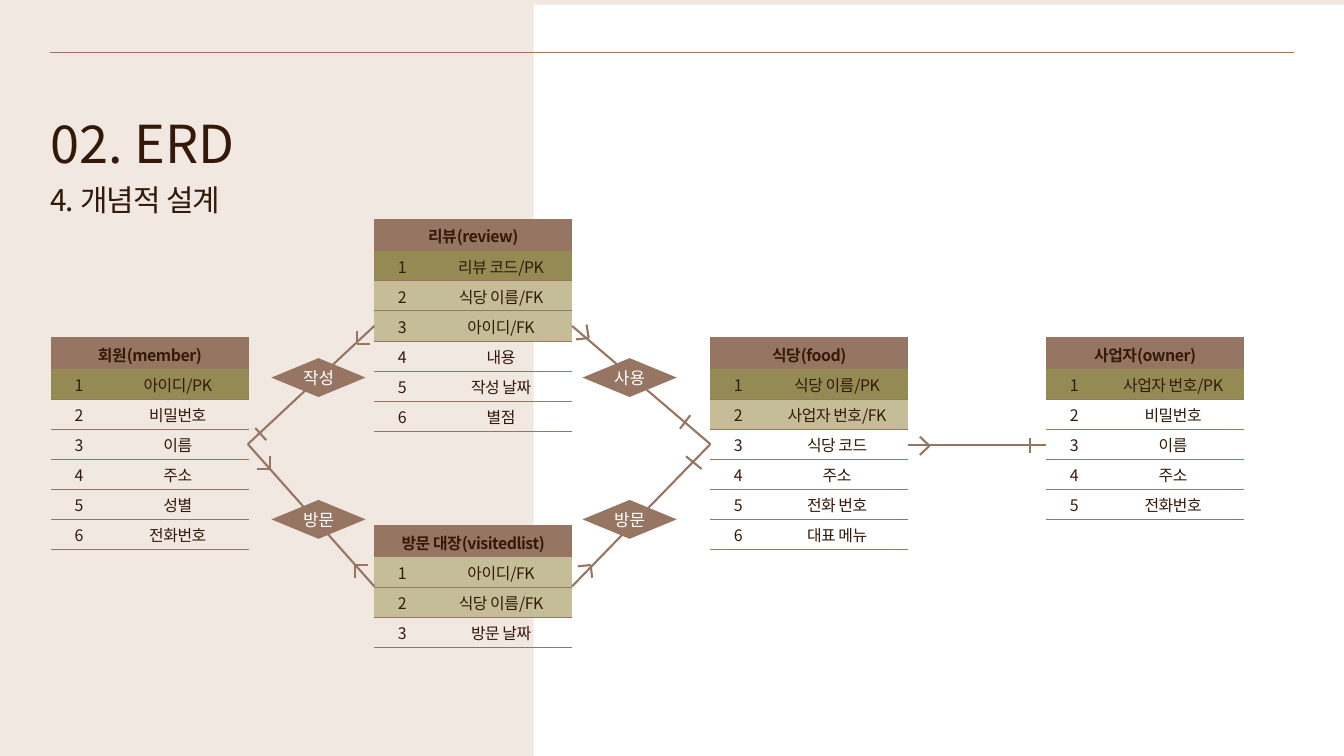
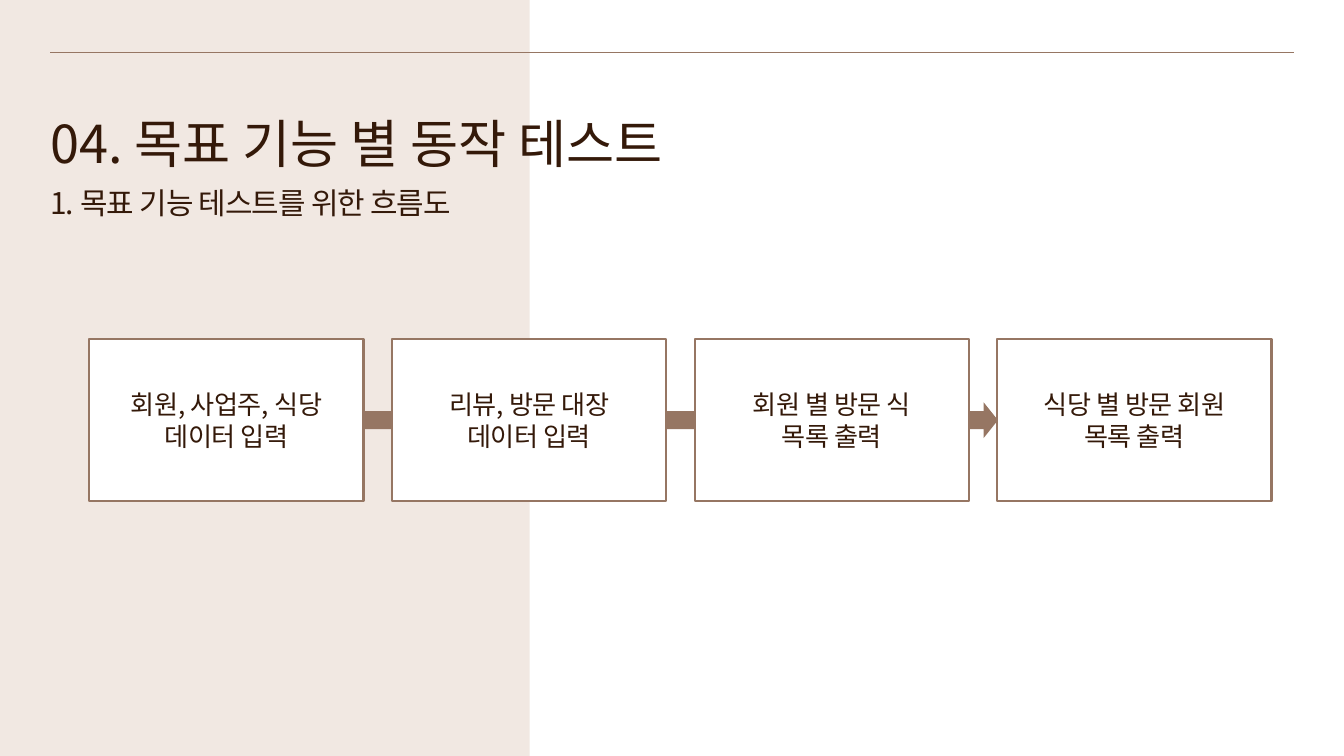
from itertools import pairwise

from lxml import etree
from pptx import Presentation
from pptx.dml.color import RGBColor
from pptx.enum import shapes, text
from pptx.oxml.ns import qn
from pptx.util import Cm, Pt

COLORS = {"beige": "F1E8E2", "white": "FFFFFF", "brown": "967663",
          "ink": "341909", "pk": "948A54", "fk": "C4BD97"}
WIDTH, HEIGHT = 50.8, 28.58
KR, SC = "Noto Sans CJK KR", "Noto Sans CJK SC"
COLUMNS, ROW = (2.11, 5.36), 1.14

ENTITIES = [
    (1.93, 12.8, "회원(member)",
     ["아이디/PK", "비밀번호", "이름", "주소", "성별", "전화번호"]),
    (39.55, 12.8, "사업자(owner)",
     ["사업자 번호/PK", "비밀번호", "이름", "주소", "전화번호"]),
    (26.85, 12.8, "식당(food)",
     ["식당 이름/PK", "사업자 번호/FK", "식당 코드", "주소", "전화 번호", "대표 메뉴"]),
    (14.15, 8.33, "리뷰(review)",
     ["리뷰 코드/PK", "식당 이름/FK", "아이디/FK", "내용", "작성 날짜", "별점"]),
    (14.15, 19.91, "방문 대장(visitedlist)",
     ["아이디/FK", "식당 이름/FK", "방문 날짜"]),
]
LINKS = [
    [(14.15, 12.32), (9.37, 16.79), (14.15, 22.17)],
    [(21.62, 12.32), (26.85, 16.79), (21.62, 22.17)],
    [(34.32, 16.81), (39.55, 16.81)],
]
ONE_MARKS = [
    [(9.65, 16.18), (10.06, 16.64)],
    [(26.09, 15.7), (25.7, 16.21)],
    [(26.52, 17.73), (25.93, 17.25)],
    [(38.94, 17.12), (38.94, 16.54)],
]
MANY_MARKS = [
    [(13.41, 21.84), (13.41, 21.36), (13.92, 21.36)],
    [(10.21, 17.25), (10.21, 17.73), (9.7, 17.73)],
    [(13.49, 12.52), (13.49, 13), (13.97, 13)],
    [(21.77, 12.83), (22.25, 12.78), (22.17, 12.27)],
    [(21.84, 21.41), (22.33, 21.36), (22.38, 21.84)],
    [(34.77, 16.51), (35.13, 16.85), (34.77, 17.2)],
]
RELATIONS = [(10.26, 18.9, "방문"), (10.26, 13.54, "작성"),
             (22.02, 18.9, "방문"), (22.02, 13.54, "사용")]
STEPS = [["회원, 사업주, 식당", "데이터 입력"], ["리뷰, 방문 대장", "데이터 입력"],
         ["회원 별 방문 식", "목록 출력"], ["식당 별 방문 회원", "목록 출력"]]


def rgb(name):
    """Return the named colour."""
    return RGBColor.from_string(COLORS[name])


def write(tf, *lines, size, font=KR, color="ink", bold=False, track=0,
          align=text.PP_ALIGN.CENTER, spacing=1.0):
    """Fill a text frame with one paragraph for each line."""
    for i, line in enumerate(lines):
        p = tf.add_paragraph() if i else tf.paragraphs[0]
        p.alignment, p.line_spacing = align, spacing
        r = p.add_run()
        r.text = line
        r.font.size, r.font.bold, r.font.name = Pt(size), bold, font
        r.font.color.rgb = rgb(color)
        rPr = r._r.get_or_add_rPr()
        rPr.set("spc", str(track))
        etree.SubElement(rPr, qn("a:ea"), typeface=font)


def add_shape(s, kind, x, y, w, h, fill, line=None):
    """Add a flat preset shape."""
    sp = s.shapes.add_shape(kind, Cm(x), Cm(y), Cm(w), Cm(h))
    sp.shadow.inherit = False
    sp.fill.solid()
    sp.fill.fore_color.rgb = rgb(fill)
    if line:
        sp.line.color.rgb, sp.line.width = rgb(line), Pt(2.25)
    else:
        sp.line.fill.background()
    return sp


def add_path(s, points, width=2.25):
    """Join the points with straight connectors."""
    for (x1, y1), (x2, y2) in pairwise(points):
        c = s.shapes.add_connector(shapes.MSO_CONNECTOR.STRAIGHT,
                                   Cm(x1), Cm(y1), Cm(x2), Cm(y2))
        c.line.color.rgb, c.line.width = rgb("brown"), Pt(width)
        etree.SubElement(c._element.spPr, qn("a:effectLst"))


def add_heading(s, content, y, w, h, size, spacing, track=0):
    """Add a left-aligned heading at the page margin."""
    tf = s.shapes.add_textbox(Cm(1.9), Cm(y), Cm(w), Cm(h)).text_frame
    tf.word_wrap = True
    tf.margin_left = tf.margin_right = tf.margin_top = tf.margin_bottom = 0
    write(tf, content, size=size, track=track, spacing=Pt(spacing),
          align=text.PP_ALIGN.LEFT)


def set_borders(cell, top):
    """Rule a cell above and below only."""
    tcPr = cell._tc.get_or_add_tcPr()
    for side, width in (("L", 0), ("R", 0), ("T", top), ("B", 0.75)):
        ln = etree.SubElement(tcPr, qn(f"a:ln{side}"), w=str(Pt(width)))
        if width:
            fill = etree.SubElement(ln, qn("a:solidFill"))
            etree.SubElement(fill, qn("a:srgbClr"), val=COLORS["brown"])
        else:
            etree.SubElement(ln, qn("a:noFill"))


def add_entity(s, x, y, name, fields):
    """Add an entity table whose key rows are coloured by key type."""
    count = len(fields) + 1
    table = s.shapes.add_table(count, 2, Cm(x), Cm(y), Cm(sum(COLUMNS)),
                               Cm(ROW * count)).table
    table.first_row = table.horz_banding = False
    for column, width in zip(table.columns, COLUMNS):
        column.width = Cm(width)
    table.cell(0, 0).merge(table.cell(0, 1))
    rows = [(name, "")] + [(str(n), f) for n, f in enumerate(fields, 1)]
    for i, values in enumerate(rows):
        table.rows[i].height = Cm(ROW)
        key = values[1][-3:]
        fill = "brown" if i == 0 else {"/PK": "pk", "/FK": "fk"}.get(key)
        for j, value in enumerate(values):
            cell = table.cell(i, j)
            set_borders(cell, 0.75 if i else 3)
            if fill:
                cell.fill.solid()
                cell.fill.fore_color.rgb = rgb(fill)
            else:
                cell.fill.background()
            cell.vertical_anchor = text.MSO_ANCHOR.MIDDLE
            if value:
                write(cell.text_frame, value, size=17, font=SC, bold=i == 0,
                      track=-50, spacing=1.03)


def add_relation(s, x, y, label):
    """Add a labelled relation diamond."""
    sp = add_shape(s, shapes.MSO_SHAPE.DIAMOND, x, y, 3.56, 1.47, "brown")
    tf = sp.text_frame
    tf.margin_left = tf.margin_right = tf.margin_top = tf.margin_bottom = 0
    tf.vertical_anchor = text.MSO_ANCHOR.MIDDLE
    write(tf, label, size=18, color="white")


def add_step(s, x, lines):
    """Add an outlined box of the flow."""
    sp = add_shape(s, shapes.MSO_SHAPE.RECTANGLE, x, 12.8, 10.36, 6.15,
                   "white", "brown")
    sp.text_frame.vertical_anchor = text.MSO_ANCHOR.MIDDLE
    write(sp.text_frame, *lines, size=28, font=SC, track=-50, spacing=1.03)


def add_page(prs, title, subtitle, panel_x, panel_y, subtitle_y):
    """Add a slide with its white panel, top rule and headings."""
    s = prs.slides.add_slide(prs.slide_layouts[6])
    s.background.fill.solid()
    s.background.fill.fore_color.rgb = rgb("beige")
    add_shape(s, shapes.MSO_SHAPE.RECTANGLE, panel_x, panel_y,
              WIDTH - panel_x, HEIGHT - panel_y, "white")
    add_path(s, [(1.9, 1.98), (48.9, 1.98)], 0.75)
    add_heading(s, title, 3.94, 28.37, 2.55, 56, 74.5)
    add_heading(s, subtitle, subtitle_y, 20.75, 1.75, 32, 49.3, -90)
    return s


def build_erd(prs):
    """Build the entity relationship diagram."""
    s = add_page(prs, "02. ERD", "4. 개념적 설계", 20.17, 0.18, 6.5)
    for entity in ENTITIES:
        add_entity(s, *entity)
    for points in LINKS + ONE_MARKS + MANY_MARKS:
        add_path(s, points)
    for relation in RELATIONS:
        add_relation(s, *relation)


def build_flow(prs):
    """Build the test flow."""
    s = add_page(prs, "04. 목표 기능 별 동작 테스트",
                 "1. 목표 기능 테스트를 위한 흐름도", 20.02, 0, 6.58)
    arrow = add_shape(s, shapes.MSO_SHAPE.RIGHT_ARROW, 13.77, 15.21, 23.95,
                      1.35, "brown")
    arrow.adjustments[0], arrow.adjustments[1] = 0.5, 0.4
    for i, lines in enumerate(STEPS):
        add_step(s, 3.38 + i * 11.44, lines)


def main():
    """Build and save the presentation."""
    prs = Presentation()
    prs.slide_width, prs.slide_height = Cm(WIDTH), Cm(HEIGHT)
    build_erd(prs)
    build_flow(prs)
    prs.save("out.pptx")


if __name__ == "__main__":
    main()
